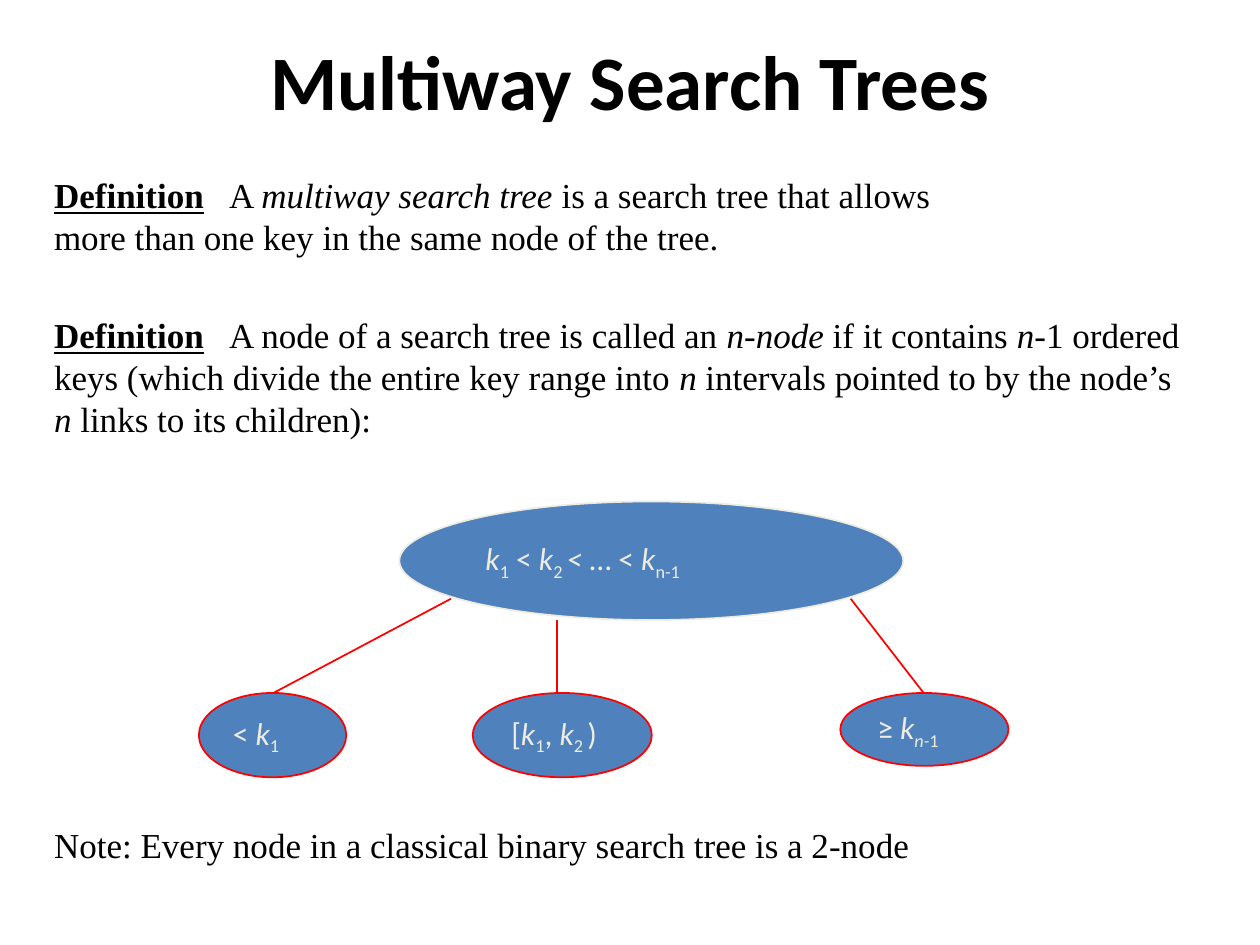
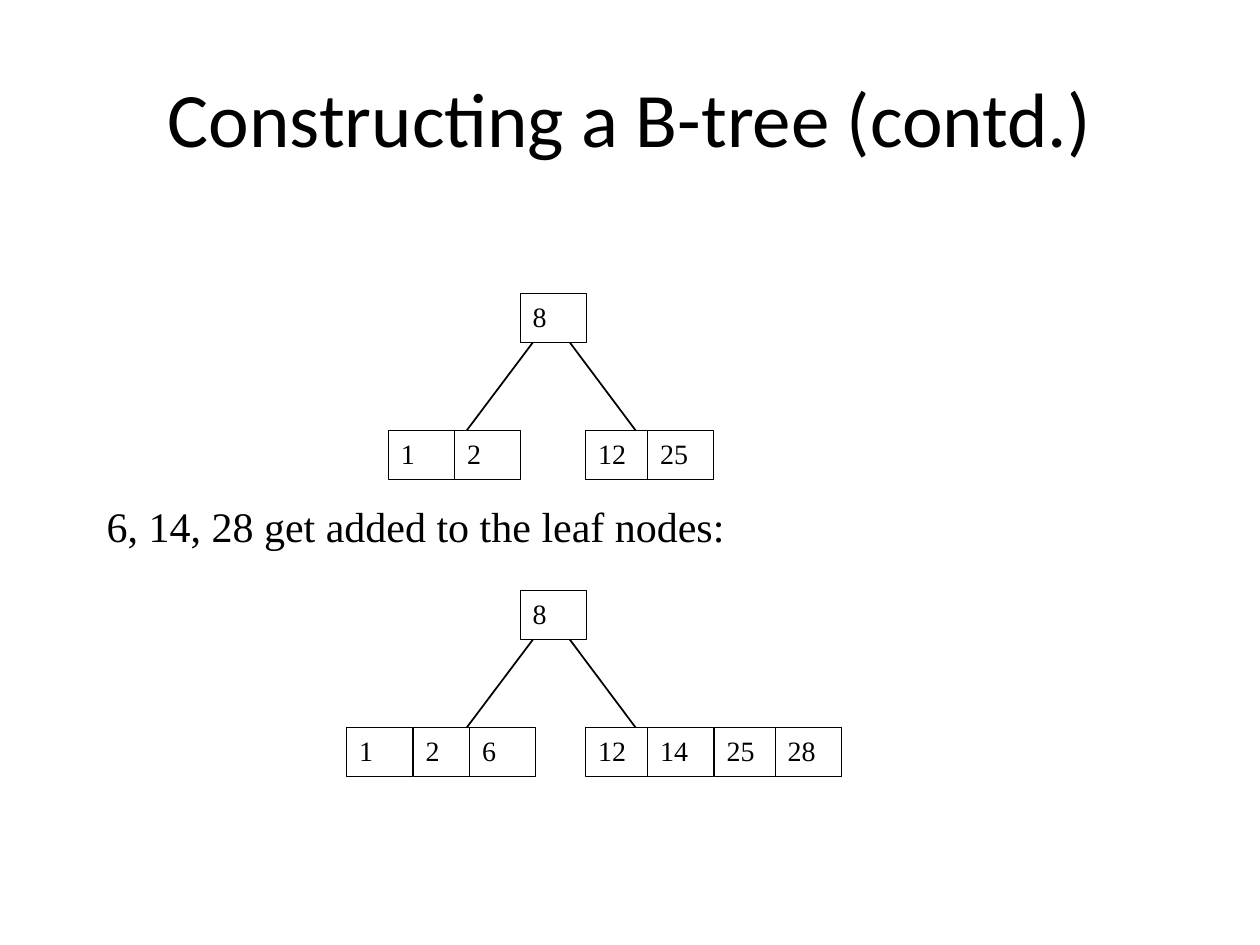
from lxml import etree
from pptx import Presentation
from pptx.dml.color import RGBColor
from pptx.enum.shapes import MSO_CONNECTOR, MSO_SHAPE
from pptx.enum.text import MSO_ANCHOR, PP_ALIGN
from pptx.oxml.ns import qn
from pptx.util import Cm, Pt

OVAL, BOX = MSO_SHAPE.OVAL, MSO_SHAPE.RECTANGLE
STRAIGHT = MSO_CONNECTOR.STRAIGHT
TOP, MIDDLE = MSO_ANCHOR.TOP, MSO_ANCHOR.MIDDLE
LEFT, CENTER = PP_ALIGN.LEFT, PP_ALIGN.CENTER

COLORS = {"ink": "000000", "paper": "FFFFFF", "node": "4F81BD",
          "cream": "EEECE1", "red": "FF0000"}
SANS, SERIF = "Calibri", "Times New Roman"
BLANK_LAYOUT = 6
TERM_TAB = 3.53

# Runs are (text, style): b bold, u underlined, i italic, s subscript.
TERM = ("Definition", "bu")
DEFINITIONS = [
    [TERM, ("\tA ", ""), ("multiway search tree", "i"),
     (" is a search tree that allows\vmore than one key in the same node "
      "of the tree.", "")],
    [TERM, ("\tA node of a search tree is called an ", ""), ("n", "i"),
     ("-", ""), ("node", "i"), (" if it contains ", ""), ("n-", "i"),
     ("1 ordered keys (which divide the entire key range into ", ""),
     ("n", "i"), (" intervals pointed to by the node’s ", ""), ("n ", "i"),
     ("links to its children):", "")],
]
NOTE = [("Note: Every node in a classical binary search tree is a 2-node", "")]

# Each node: left, top, width, height, outline, label.
NODES = [
    (8.05, 10.11, 10.16, 2.39, "cream",
     [("k", "i"), ("1", "s"), (" < ", ""), ("k", "i"), ("2 ", "s"),
      ("< ", "i"), ("… < ", ""), ("k", "i"), ("n-1", "s")]),
    (4.01, 13.97, 2.97, 1.7, "red", [("< ", ""), ("k", "i"), ("1", "s")]),
    (9.53, 13.97, 3.61, 1.7, "red",
     [("[", ""), ("k", "i"), ("1", "s"), (", ", ""), ("k", "i"),
      ("2 ", "s"), (")", "")]),
    (16.94, 13.97, 3.39, 1.47, "red",
     [("≥ ", ""), ("k", "i"), ("n-", "is"), ("1", "s")]),
]
CHILD_LINKS = [(9.09, 12.07, 5.51, 13.97), (11.23, 12.5, 11.23, 13.97),
               (17.15, 12.07, 18.62, 13.97)]

# Key -> left edge of its cell.
LEAVES_BEFORE = {1: 7.83, 2: 9.17, 12: 11.81, 25: 13.06}
LEAVES_AFTER = {1: 6.99, 2: 8.33, 6: 9.47,
                12: 11.81, 14: 13.06, 25: 14.4, 28: 15.63}


def rgb(name):
    """Look up a palette colour."""
    return RGBColor.from_string(COLORS[name])


def write(paragraph, runs, size, font=SERIF, color="ink", align=LEFT):
    """Fill a paragraph with styled runs; a vertical tab breaks the line."""
    paragraph.alignment = align
    paragraph.font.size = Pt(size)
    paragraph.font.name = font
    paragraph.font.color.rgb = rgb(color)
    for text, style in runs:
        for index, part in enumerate(text.split("\v")):
            if index:
                paragraph.add_line_break()
            run = paragraph.add_run()
            run.text = part
            if "b" in style:
                run.font.bold = True
            if "u" in style:
                run.font.underline = True
            if "i" in style:
                run.font.italic = True
            if "s" in style:
                run._r.get_or_add_rPr().set("baseline", "-25000")


def add_tab_stop(paragraph, position):
    """Give a paragraph one left tab stop."""
    properties = paragraph._p.get_or_add_pPr()
    tabs = etree.Element(qn("a:tabLst"))
    etree.SubElement(tabs, qn("a:tab"), pos=str(Cm(position)), algn="l")
    defaults = properties.find(qn("a:defRPr"))
    if defaults is None:
        properties.append(tabs)
    else:
        defaults.addprevious(tabs)


def add_text_frame(shapes, left, top, width, height, anchor=TOP):
    """Add a wrapping text box and return its frame."""
    frame = shapes.add_textbox(Cm(left), Cm(top), Cm(width),
                               Cm(height)).text_frame
    frame.word_wrap = True
    frame.vertical_anchor = anchor
    return frame


def add_title(slide, text, left, top, width, height, style=""):
    """Add a centred slide title."""
    frame = add_text_frame(slide.shapes, left, top, width, height, MIDDLE)
    write(frame.paragraphs[0], [(text, style)], 44, SANS, align=CENTER)


def add_link(shapes, x1, y1, x2, y2, color="ink"):
    """Add a straight line between a parent and a child."""
    link = shapes.add_connector(STRAIGHT, Cm(x1), Cm(y1), Cm(x2), Cm(y2))
    link.line.color.rgb = rgb(color)
    link.line.width = Pt(1)
    etree.SubElement(link._element.spPr, qn("a:effectLst"))


def add_outlined(shapes, preset, left, top, width, height, fill, outline,
                 weight):
    """Add a filled, outlined shape and return it."""
    shape = shapes.add_shape(preset, Cm(left), Cm(top), Cm(width), Cm(height))
    shape.shadow.inherit = False
    shape.fill.solid()
    shape.fill.fore_color.rgb = rgb(fill)
    shape.line.color.rgb = rgb(outline)
    shape.line.width = Pt(weight)
    return shape


def add_node(shapes, left, top, width, height, outline, label):
    """Add an oval multiway node."""
    frame = add_outlined(shapes, OVAL, left, top, width, height,
                         "node", outline, 1).text_frame
    frame.word_wrap = False
    frame.vertical_anchor = MIDDLE
    write(frame.paragraphs[0], label, 18, SANS, "cream")


def add_key(shapes, left, top, key):
    """Add one key cell of a B-tree node."""
    frame = add_outlined(shapes, BOX, left, top, 1.33, 0.99,
                         "paper", "ink", 0.75).text_frame
    frame.vertical_anchor = TOP
    write(frame.paragraphs[0], [(str(key), "")], 16)


def add_btree(shapes, top, leaves):
    """Add a B-tree with root 8 and the given leaf keys."""
    for start, end in ((11.0, 9.09), (11.23, 13.13)):
        add_link(shapes, start, top + 0.64, end, top + 3.18)
    add_key(shapes, 10.49, top, 8)
    for key, left in leaves.items():
        add_key(shapes, left, top + 2.76, key)


def build_multiway_slide(slide):
    """Define multiway search trees and show an n-node."""
    add_title(slide, "Multiway Search Trees", 1.9, 0.43, 21.6, 2.34, "b")
    body = add_text_frame(slide.shapes, 0.84, 3.38, 23.5, 15.6)
    for index, (runs, gap) in enumerate(zip(DEFINITIONS + [NOTE],
                                            (0, 32, 219))):
        paragraph = body.add_paragraph() if index else body.paragraphs[0]
        paragraph.line_spacing = Pt(24)
        paragraph.space_before = Pt(gap)
        write(paragraph, runs, 20)
        if runs[0] == TERM:
            add_tab_stop(paragraph, TERM_TAB)
    for node in NODES:
        add_node(slide.shapes, *node)
    for ends in CHILD_LINKS:
        add_link(slide.shapes, *ends, "red")


def build_btree_slide(slide):
    """Show the B-tree before and after three keys join its leaves."""
    add_title(slide, "Constructing a B-tree (contd.)",
              1.27, 0.76, 22.86, 3.18)
    add_btree(slide.shapes, 5.92, LEAVES_BEFORE)
    step = slide.shapes.add_group_shape().shapes
    caption = add_text_frame(step, 1.9, 9.96, 21.8, 1.27)
    write(caption.paragraphs[0],
          [("6, 14, 28 get added to the leaf nodes:", "")], 24)
    add_btree(step, 11.91, LEAVES_AFTER)


def main():
    """Build and save the presentation."""
    deck = Presentation()
    deck.slide_width, deck.slide_height = Cm(25.4), Cm(19.05)
    for build in (build_multiway_slide, build_btree_slide):
        build(deck.slides.add_slide(deck.slide_layouts[BLANK_LAYOUT]))
    deck.save("out.pptx")


main()
